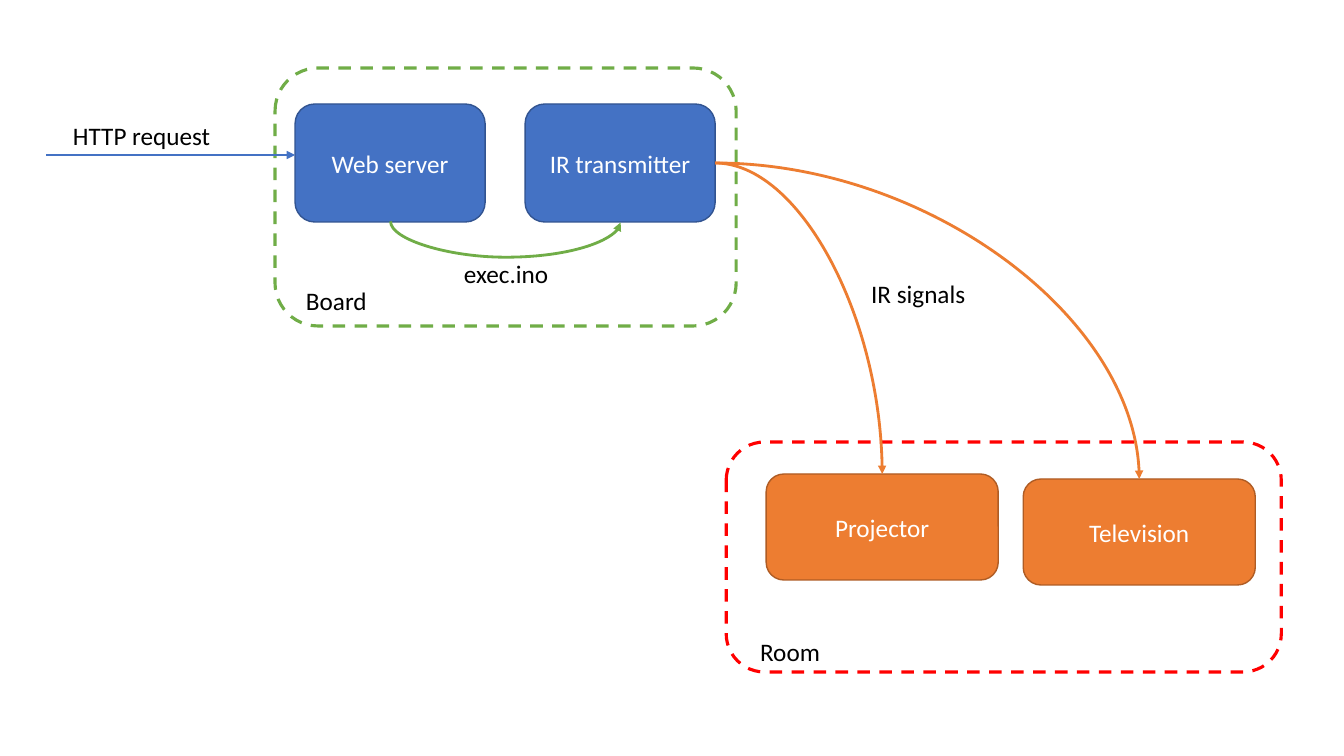
from lxml import etree
from pptx import Presentation, util as u
from pptx.dml.color import RGBColor
from pptx.enum import dml, shapes, text
from pptx.oxml.ns import qn

PX = 914400 / 100.8
COLORS = {
    "white": "FFFFFF", "black": "000000", "red": "FF0000", "green": "70AD47",
    "blue": "4472C4", "blue_edge": "325491",
    "orange": "ED7D31", "orange_edge": "AF5C24",
}

prs = Presentation()
prs.slide_width, prs.slide_height = u.Inches(13.33), u.Inches(7.5)
s = prs.slides.add_slide(prs.slide_layouts[6])


def px(*lengths):
    return [u.Emu(round(n * PX)) for n in lengths]


def rgb(name):
    return RGBColor.from_string(COLORS[name])


# Dashed frames around the board and the room
for box, color in [((275, 68, 461, 258), "green"), ((726, 442, 555, 230), "red")]:
    sp = s.shapes.add_shape(shapes.MSO_SHAPE.ROUNDED_RECTANGLE, *px(*box))
    sp.shadow.inherit = False
    sp.fill.solid()
    sp.fill.fore_color.rgb = rgb("white")
    sp.line.color.rgb = rgb(color)
    sp.line.width = u.Pt(2.25)
    sp.line.dash_style = dml.MSO_LINE.DASH

# Component boxes
nodes = {}
for label, box, color in [
    ("Web server", (295, 104, 190, 118), "blue"),
    ("IR transmitter", (525, 104, 190, 118), "blue"),
    ("Projector", (766, 474, 232, 106), "orange"),
    ("Television", (1023, 479, 232, 106), "orange"),
]:
    sp = s.shapes.add_shape(shapes.MSO_SHAPE.ROUNDED_RECTANGLE, *px(*box))
    sp.shadow.inherit = False
    sp.fill.solid()
    sp.fill.fore_color.rgb = rgb(color)
    sp.line.color.rgb = rgb(color + "_edge")
    sp.line.width = u.Pt(1)
    tf = sp.text_frame
    tf.vertical_anchor = text.MSO_ANCHOR.MIDDLE
    p = tf.paragraphs[0]
    p.text = label
    p.alignment = text.PP_ALIGN.CENTER
    p.font.size, p.font.name = u.Pt(18), "Calibri"
    p.font.color.rgb = rgb("white")
    nodes[label] = sp

# Captions
for label, left, top, width in [
    ("Board", 296, 280, 152),
    ("HTTP request", 63, 115, 196),
    ("exec.ino", 454, 253, 152),
    ("Room", 750, 631, 152),
    ("IR signals", 861, 273, 168),
]:
    tf = s.shapes.add_textbox(*px(left, top, width, 40)).text_frame
    tf.word_wrap = True
    p = tf.paragraphs[0]
    p.text = label
    p.font.size, p.font.name = u.Pt(18), "Calibri"
    p.font.color.rgb = rgb("black")

# Arrows: request, script call, and one signal to each device
STRAIGHT, CURVE = shapes.MSO_CONNECTOR.STRAIGHT, shapes.MSO_CONNECTOR.CURVE
arrows = {}
for name, kind, ends, color in [
    ("request", STRAIGHT, (46, 155, 295, 155), "blue"),
    ("call", CURVE, (506, 107, 505, 337), "green"),
    ("Projector", CURVE, (715, 163, 882, 474), "orange"),
    ("Television", CURVE, (715, 163, 1139, 479), "orange"),
]:
    arrow = s.shapes.add_connector(kind, *px(*ends))
    arrow.line.color.rgb = rgb(color)
    arrow.line.width = u.Pt(2)
    etree.SubElement(arrow.line._get_or_add_ln(), qn("a:tailEnd"), type="triangle")
    etree.SubElement(arrow._element.spPr, qn("a:effectLst"))
    arrows[name] = arrow

# Signals bend once, from the transmitter's right side to the device's top
for device in ("Projector", "Television"):
    arrow = arrows[device]
    arrow.begin_connect(nodes["IR transmitter"], 3)
    arrow.end_connect(nodes[device], 0)
    arrow._element.spPr.find(qn("a:prstGeom")).set("prst", "curvedConnector2")

# The script call is turned a quarter and sags 36 px below the boxes
spPr = arrows["call"]._element.spPr
spPr.find(qn("a:xfrm")).set("rot", "16200000")
guides = spPr.find(qn("a:prstGeom")).find(qn("a:avLst"))
etree.SubElement(guides, qn("a:gd"), name="adj1", fmla="val 3600000")

prs.save("out.pptx")
